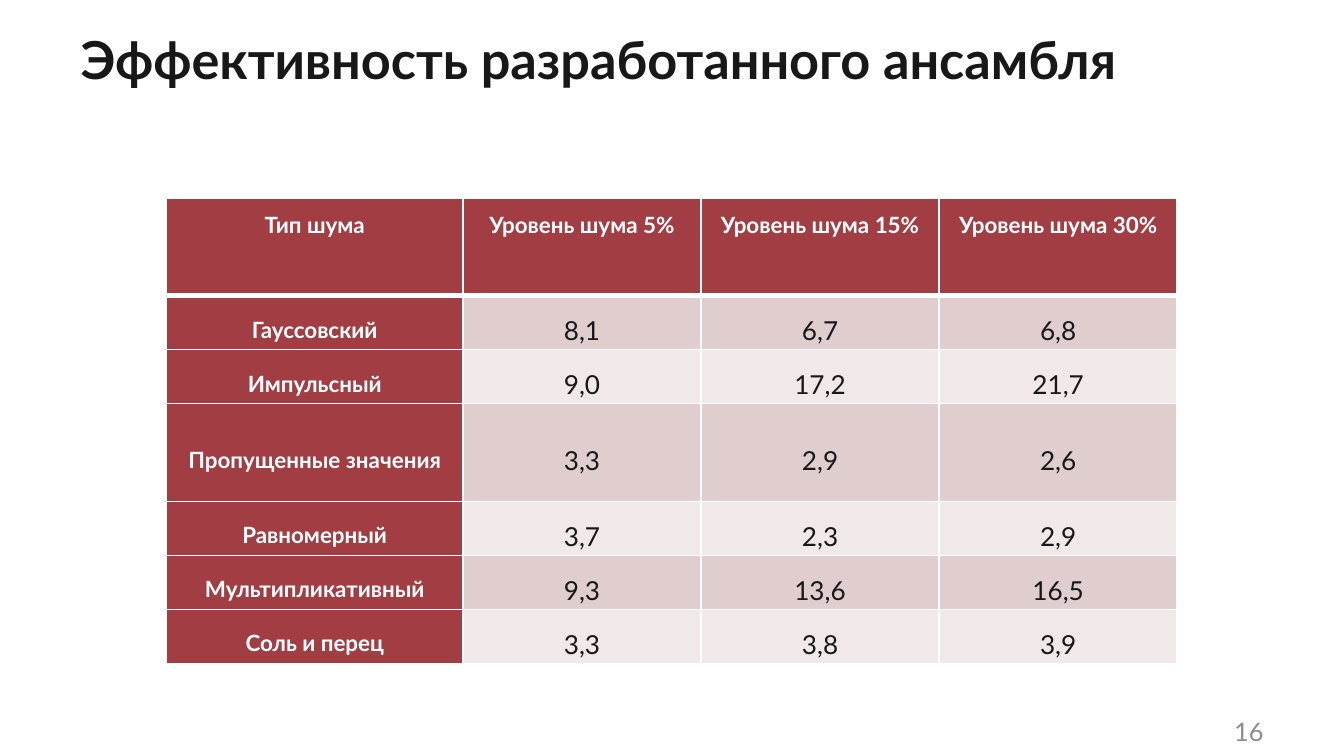
"""Builds the slide with the table of ensemble efficiency by noise type."""
import pptx
import pptx.dml.color
import pptx.enum.text
import pptx.oxml
import pptx.oxml.ns
import pptx.util
from pptx.util import Cm

FONT = "Lato"
COLORS = {
    "ink": "181818",
    "muted": "8C8C8C",
    "white": "FFFFFF",
    "header": "A23E43",
    "odd_row": "E0CECF",
    "even_row": "F0E8E9",
}
HEADERS = ["Тип шума"] + [f"Уровень шума {level}%" for level in (5, 15, 30)]
RESULTS = [
    ("Гауссовский", "8,1", "6,7", "6,8"),
    ("Импульсный", "9,0", "17,2", "21,7"),
    ("Пропущенные значения", "3,3", "2,9", "2,6"),
    ("Равномерный", "3,7", "2,3", "2,9"),
    ("Мультипликативный", "9,3", "13,6", "16,5"),
    ("Соль и перец", "3,3", "3,8", "3,9"),
]
COLUMN_WIDTHS = [5.6, 4.5, 4.5, 4.5]
ROW_HEIGHTS = [1.85, 1.02, 1.02, 1.85, 1.02, 1.02, 1.02]
ALIGN = pptx.enum.text.PP_ALIGN
ANCHOR = pptx.enum.text.MSO_ANCHOR


def rgb(name):
    return pptx.dml.color.RGBColor.from_string(COLORS[name])


def write(frame, text, size, color, align, bold=False):
    frame.text = text
    paragraph = frame.paragraphs[0]
    paragraph.alignment = align
    font = paragraph.runs[0].font
    font.name, font.size, font.bold = FONT, pptx.util.Pt(size), bold
    font.color.rgb = rgb(color)
    return paragraph


def add_title(slide, text):
    title = slide.shapes.title
    title.left, title.top, title.width, title.height = Cm(1.27), Cm(0.38), Cm(22.86), Cm(1.78)
    title.text_frame.vertical_anchor = ANCHOR.TOP
    write(title.text_frame, text, 28, "ink", ALIGN.LEFT, bold=True)


def add_page_number(slide, number):
    page = slide.shapes.add_textbox(Cm(22.7), Cm(13.44), Cm(1.43), Cm(0.76))
    page.text_frame.word_wrap = True
    page.text_frame.vertical_anchor = ANCHOR.MIDDLE
    write(page.text_frame, number, 13.6, "muted", ALIGN.RIGHT)


def set_borders(cell, **widths):
    properties = cell._tc.get_or_add_tcPr()
    for side in "LRTB":
        width = pptx.util.Pt(widths.get(side, 1))
        properties.append(pptx.oxml.parse_xml(
            f'<a:ln{side} {pptx.oxml.ns.nsdecls("a")} w="{width}"><a:solidFill>'
            f'<a:srgbClr val="{COLORS["white"]}"/></a:solidFill></a:ln{side}>'))


def fill_cell(cell, text, row, column):
    is_label = row == 0 or column == 0
    set_borders(cell, T=3 if row == 1 else 1, B=3 if row == 0 else 1)
    cell.fill.solid()
    cell.fill.fore_color.rgb = rgb(
        "header" if is_label else "odd_row" if row % 2 else "even_row")
    cell.margin_left = cell.margin_right = Cm(0.18)
    cell.margin_top = cell.margin_bottom = 0
    cell.vertical_anchor = ANCHOR.MIDDLE if row else ANCHOR.TOP
    size, color = (12, "white") if is_label else (14, "ink")
    paragraph = write(cell.text_frame, text, size, color, ALIGN.CENTER, bold=is_label)
    paragraph.line_spacing = 1.5
    paragraph.space_after = pptx.util.Pt(8)


def add_results_table(slide):
    rows = [HEADERS, *RESULTS]
    table = slide.shapes.add_table(
        len(rows), len(HEADERS), Cm(3.15), Cm(3.74),
        Cm(sum(COLUMN_WIDTHS)), Cm(sum(ROW_HEIGHTS))).table
    for column, width in zip(table.columns, COLUMN_WIDTHS):
        column.width = Cm(width)
    for row, height in zip(table.rows, ROW_HEIGHTS):
        row.height = Cm(height)
    for row, texts in enumerate(rows):
        for column, text in enumerate(texts):
            fill_cell(table.cell(row, column), text, row, column)


def main():
    presentation = pptx.Presentation()
    presentation.slide_width, presentation.slide_height = Cm(25.4), Cm(14.29)
    slide = presentation.slides.add_slide(presentation.slide_layouts[5])
    add_title(slide, "Эффективность разработанного ансамбля")
    add_page_number(slide, "16")
    add_results_table(slide)
    presentation.save("out.pptx")


if __name__ == "__main__":
    main()
